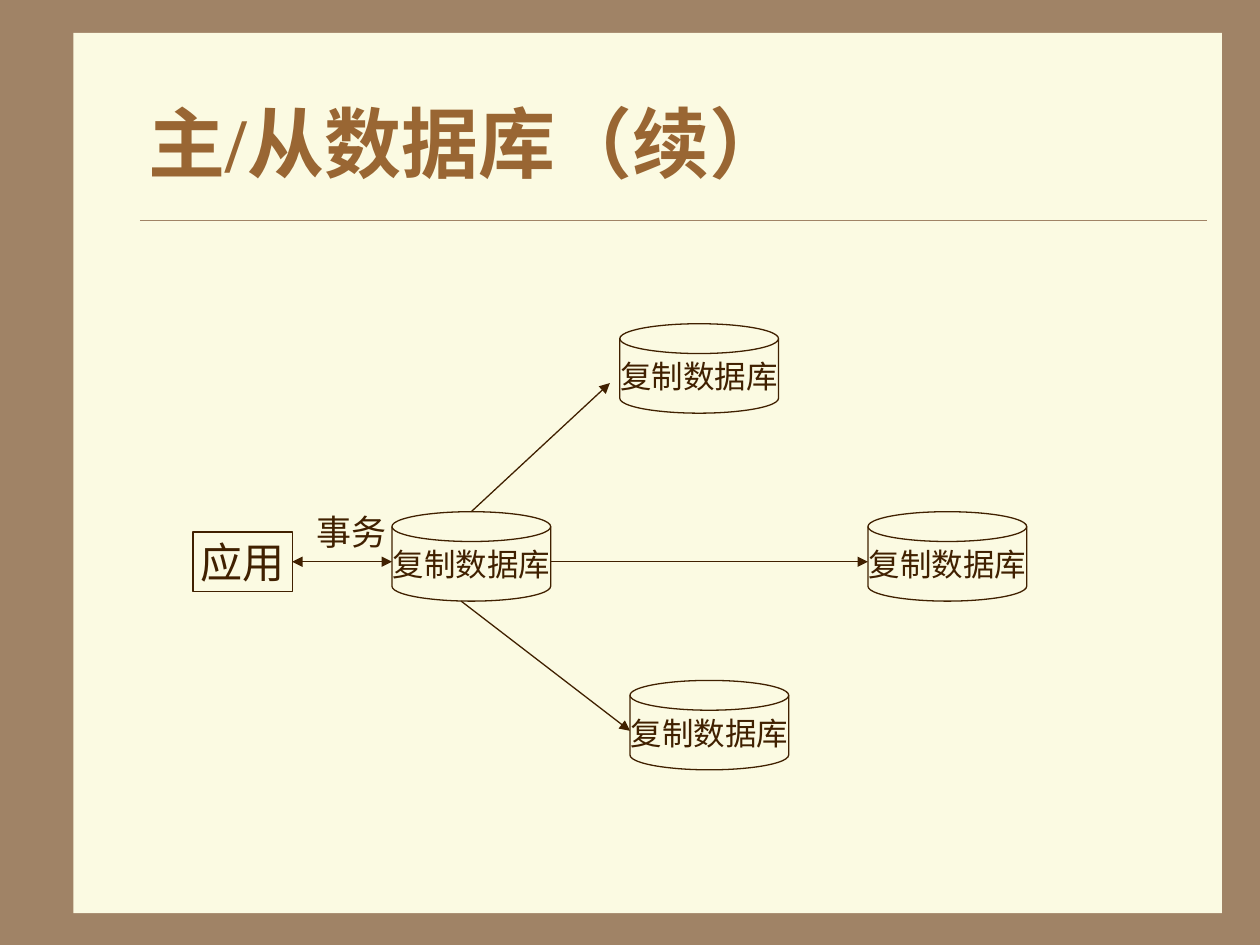
"""Builds a slide showing a primary database replicating to three copies."""
from typing import NamedTuple

from lxml.etree import SubElement
from pptx import Presentation
from pptx.dml.color import RGBColor
from pptx.enum.shapes import MSO_CONNECTOR, MSO_SHAPE
from pptx.enum.text import MSO_ANCHOR, PP_ALIGN
from pptx.oxml.ns import qn
from pptx.util import Pt

FONT = "Times New Roman"
FRAME, PAPER, TITLE, INK = "A08366", "FBFAE2", "996633", "402000"
DISK_WIDTH, DISK_HEIGHT = 90.7, 51.1
AXIS = 321


class Disk(NamedTuple):
    left: float
    top: float


class Link(NamedTuple):
    start: tuple[float, float]
    end: tuple[float, float]
    ends: tuple[str, ...] = ("tailEnd",)
    color: str = INK
    weight: float = 0.75


PRIMARY = Disk(224, 292.4)
REPLICAS = [Disk(354.2, 185), Disk(496, 292.4), Disk(360, 388.8)]
PRIMARY_RIGHT = PRIMARY.left + DISK_WIDTH
PRIMARY_BOTTOM = PRIMARY.top + DISK_HEIGHT
LINKS = [
    Link((79.9, 126), (689.8, 126), (), FRAME, 0.25),
    Link((167, AXIS), (PRIMARY.left, AXIS), ("headEnd", "tailEnd")),
    Link((269.3, PRIMARY.top), (348.5, 218.9)),
    Link((PRIMARY_RIGHT, AXIS), (REPLICAS[1].left, AXIS)),
    Link((263.5, PRIMARY_BOTTOM), (REPLICAS[2].left, 417.6)),
]


def rgb(value: str) -> RGBColor:
    """Turn a hex string into a colour."""
    return RGBColor.from_string(value)


def write(shape, text: str, size: float, color: str = INK, align=PP_ALIGN.CENTER,
          bold: bool = False, wrap: bool = False) -> None:
    """Put one vertically centred line of text in a shape."""
    frame = shape.text_frame
    frame.text = text
    frame.word_wrap = wrap
    frame.vertical_anchor = MSO_ANCHOR.MIDDLE
    paragraph = frame.paragraphs[0]
    paragraph.alignment = align
    font = paragraph.runs[0].font
    font.name, font.size, font.bold = FONT, Pt(size), bold
    font.color.rgb = rgb(color)


def add_label(slide, box: tuple, text: str, size: float, **style) -> None:
    """Add a text box."""
    write(slide.shapes.add_textbox(*map(Pt, box)), text, size, **style)


def add_node(slide, kind, box: tuple, text: str, size: float) -> None:
    """Add an outlined, unfilled shape with a caption."""
    node = slide.shapes.add_shape(kind, *map(Pt, box))
    node.shadow.inherit = False
    node.fill.background()
    node.line.color.rgb = rgb(INK)
    node.line.width = Pt(0.75)
    write(node, text, size)


def add_link(slide, link: Link) -> None:
    """Add a straight line with triangles at the listed ends."""
    line = slide.shapes.add_connector(
        MSO_CONNECTOR.STRAIGHT, *map(Pt, link.start + link.end))
    line.line.color.rgb = rgb(link.color)
    line.line.width = Pt(link.weight)
    properties = line._element.spPr
    for end in link.ends:
        SubElement(properties.find(qn("a:ln")), qn(f"a:{end}"), type="triangle")
    SubElement(properties, qn("a:effectLst"))


def add_paper(slide) -> None:
    """Add the framed background."""
    slide.background.fill.solid()
    slide.background.fill.fore_color.rgb = rgb(FRAME)
    paper = slide.shapes.add_shape(
        MSO_SHAPE.RECTANGLE, Pt(41.9), Pt(18.8), Pt(656.4), Pt(503))
    paper.shadow.inherit = False
    paper.fill.solid()
    paper.fill.fore_color.rgb = rgb(PAPER)
    paper.line.fill.background()


def main() -> None:
    """Build and save the slide."""
    deck = Presentation()
    deck.slide_width, deck.slide_height = Pt(720), Pt(540)
    slide = deck.slides.add_slide(deck.slide_layouts[6])
    add_paper(slide)
    add_label(slide, (78, 36, 612, 90), "主/从数据库（续）", 44, color=TITLE,
              align=PP_ALIGN.LEFT, bold=True, wrap=True)
    for disk in [PRIMARY, *REPLICAS]:
        add_node(slide, MSO_SHAPE.FLOWCHART_MAGNETIC_DISK,
                 (*disk, DISK_WIDTH, DISK_HEIGHT), "复制数据库", 18)
    add_node(slide, MSO_SHAPE.RECTANGLE, (110.3, 304, 56.8, 34), "应用", 24)
    add_label(slide, (161.3, 292.4, 79.2, 22.3), "事务", 20)
    for link in LINKS:
        add_link(slide, link)
    deck.save("out.pptx")


if __name__ == "__main__":
    main()
